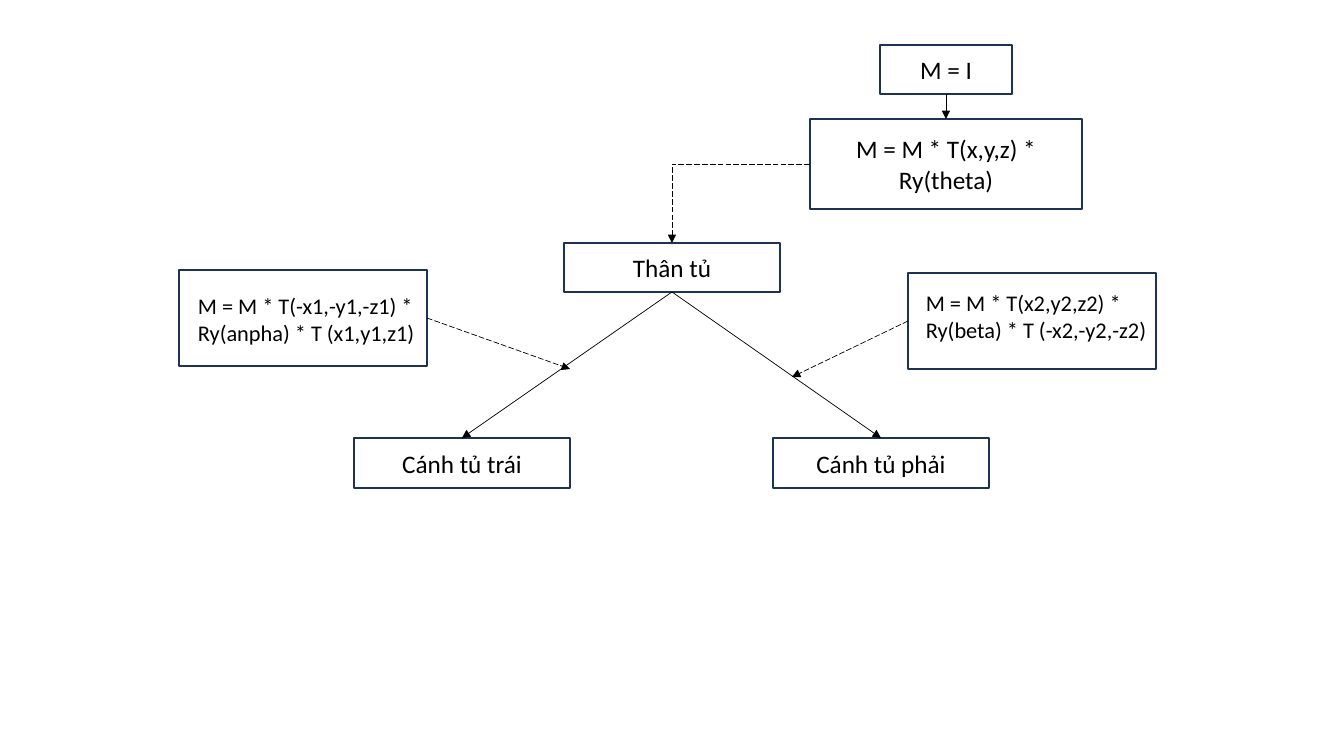
from pptx import Presentation
from pptx.dml.color import RGBColor
from pptx.enum.dml import MSO_LINE_DASH_STYLE as Dash
from pptx.enum.shapes import MSO_CONNECTOR as Connector, MSO_SHAPE as Shape
from pptx.enum.text import MSO_ANCHOR as Anchor, PP_ALIGN as Align
from pptx.oxml.ns import qn
from pptx.util import Pt
from lxml.etree import SubElement

PX = 914400 / 100.8
WHITE = RGBColor(0xFF, 0xFF, 0xFF)
BLACK = RGBColor(0x00, 0x00, 0x00)
NAVY = RGBColor(0x1E, 0x32, 0x56)

deck = Presentation()
deck.slide_width = round(1344 * PX)
deck.slide_height = round(756 * PX)
page = deck.slides.add_slide(deck.slide_layouts[6])


def write(box, text, size, align):
    frame = box.text_frame
    frame.word_wrap = True
    frame.text = text
    para = frame.paragraphs[0]
    para.alignment = align
    font = para.runs[0].font
    font.name = "Calibri"
    font.size = Pt(size)
    font.color.rgb = BLACK


def add_arrow(source, side, target, dashed, kind=Connector.STRAIGHT):
    end_x, end_y = (0, 0) if isinstance(target, str) else [round(v * PX) for v in target]
    arrow = page.shapes.add_connector(kind, 0, 0, end_x, end_y)
    arrow.begin_connect(boxes[source], side)
    if isinstance(target, str):
        arrow.end_connect(boxes[target], 0)
    arrow.line.color.rgb = BLACK
    arrow.line.width = Pt(0.5)
    if dashed:
        arrow.line.dash_style = Dash.LONG_DASH
    properties = arrow._element.spPr
    SubElement(properties.find(qn("a:ln")), qn("a:tailEnd"), type="triangle")
    SubElement(properties, qn("a:effectLst"))
    return arrow


boxes = {}
for name, text, left, top, width, height in [
    ("body", "Thân tủ", 564, 243, 216, 49),
    ("right door", "Cánh tủ phải", 773, 438, 216, 50),
    ("left door", "Cánh tủ trái", 354, 438, 216, 50),
    ("identity", "M = I", 880, 45, 132, 49),
    ("placement", "M = M * T(x,y,z) * Ry(theta)", 810, 119, 272, 90),
    ("left matrix", "", 179, 270, 248, 96),
    ("right matrix", "", 908, 273, 248, 96),
]:
    box = page.shapes.add_shape(
        Shape.RECTANGLE, *[round(v * PX) for v in (left, top, width, height)])
    box.shadow.inherit = False
    box.fill.solid()
    box.fill.fore_color.rgb = WHITE
    box.line.color.rgb = NAVY
    box.line.width = Pt(1)
    box.text_frame.vertical_anchor = Anchor.MIDDLE
    if text:
        write(box, text, 18, Align.CENTER)
    boxes[name] = box

for text, left, top, width in [
    ("M = M * T(-x1,-y1,-z1) * Ry(anpha) * T (x1,y1,z1)", 188, 287, 321),
    ("M = M * T(x2,y2,z2) * Ry(beta) * T (-x2,-y2,-z2)", 916, 284, 262),
]:
    label = page.shapes.add_textbox(*[round(v * PX) for v in (left, top, width, 64)])
    write(label, text, 16, Align.LEFT)

add_arrow("identity", 2, "placement", False)
add_arrow("body", 2, "left door", False)
add_arrow("body", 2, "right door", False)
add_arrow("left matrix", 3, (570, 369), True)
add_arrow("right matrix", 1, (792, 377), True)
bend = add_arrow("placement", 1, "body", True, Connector.ELBOW)
bend._element.spPr.find(qn("a:prstGeom")).set("prst", "bentConnector2")

deck.save("out.pptx")
